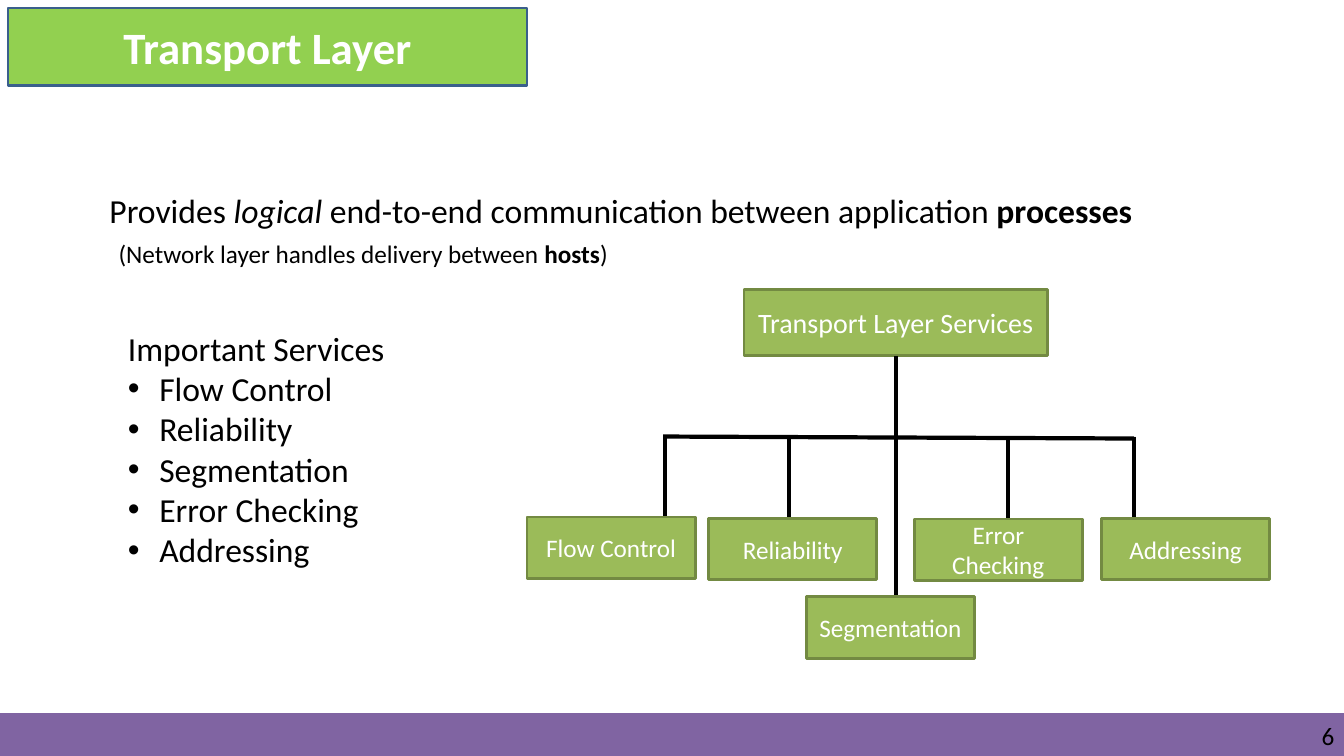
from lxml import etree
from pptx import Presentation
from pptx.dml.color import RGBColor
from pptx.enum.shapes import MSO_CONNECTOR, MSO_SHAPE
from pptx.enum.text import MSO_ANCHOR, MSO_AUTO_SIZE, PP_ALIGN
from pptx.oxml.ns import qn
from pptx.util import Cm, Pt

RECT = MSO_SHAPE.RECTANGLE
LINE = MSO_CONNECTOR.STRAIGHT
MID = MSO_ANCHOR.MIDDLE
TOP = MSO_ANCHOR.TOP
LEFT, CENTER, RIGHT = PP_ALIGN.LEFT, PP_ALIGN.CENTER, PP_ALIGN.RIGHT
FIXED = MSO_AUTO_SIZE.NONE

WIDE, HIGH = 33.87, 19.05
FONT = "Calibri"
BLACK, WHITE = "000000", "FFFFFF"
LIME, NAVY = "92D050", "3A5F8C"
GREEN, OLIVE = "9BBB59", "738A42"
PURPLE = "8064A2"

TITLE = "Transport Layer"
CLAIM = [("Provides ", ""), ("logical", "i"),
         (" end-to-end communication between application ", ""), ("processes", "b")]
NOTE = [("(Network layer handles delivery between ", ""), ("hosts", "b"), (")", "")]
HEAD = "Important Services"
ITEMS = ["Flow Control", "Reliability", "Segmentation", "Error Checking", "Addressing"]
PAGE = "6"

ROOT = "Transport Layer Services"
ROOT_BOX = (18.75, 7.29, 7.65, 1.68)
LEAF_W, LEAF_H = 4.24, 1.55
BAR = (28.58, 11.05, 16.71, 11)
# left, top, stem x, stem top
LEAVES = [(13.28, 13.03, 16.76, 11), (17.86, 13.06, 19.89, 11.02),
          (20.32, 15.04, 22.58, 10.8), (23.04, 13.08, 25.4, 11.05),
          (27.76, 13.06, 28.58, 11)]


def color(code):
    return RGBColor.from_string(code)


def put(para, runs, size, tint, align=LEFT):
    para.alignment = align
    for text, style in runs:
        run = para.add_run()
        run.text = text
        font = run.font
        font.name, font.size = FONT, Pt(size)
        font.color.rgb = color(tint)
        font.bold, font.italic = style == "b", style == "i"


def place(shape, box):
    shape.left, shape.top, shape.width, shape.height = map(Cm, box)


def paint(shape, fill, edge, width):
    shape.fill.solid()
    shape.fill.fore_color.rgb = color(fill)
    shape.line.color.rgb = color(edge)
    shape.line.width = Pt(width)


def block(slide, box, fill, edge, width):
    shape = slide.shapes.add_shape(RECT, *map(Cm, box))
    shape.shadow.inherit = False
    paint(shape, fill, edge, width)
    return shape


def node(slide, box, text, size):
    shape = block(slide, box, GREEN, OLIVE, 2)
    frame = shape.text_frame
    frame.word_wrap, frame.vertical_anchor = True, MID
    put(frame.paragraphs[0], [(text, "")], size, WHITE, CENTER)
    return shape


def link(slide, ends):
    wire = slide.shapes.add_connector(LINE, *map(Cm, ends))
    wire.line.color.rgb = color(BLACK)
    wire.line.width = Pt(3)
    etree.SubElement(wire._element.spPr, qn("a:effectLst"))
    return wire


def label(slide, box, runs, size, align=LEFT):
    frame = slide.shapes.add_textbox(*map(Cm, box)).text_frame
    frame.word_wrap = align == RIGHT
    put(frame.paragraphs[0], runs, size, BLACK, align)
    return frame


def mark(para, dot):
    props = para._p.get_or_add_pPr()
    props.set("marL", str(Cm(0.79) if dot else 0))
    props.set("indent", str(-Cm(0.79) if dot else 0))
    if dot:
        etree.SubElement(props, qn("a:buFont")).set("typeface", "Arial")
        etree.SubElement(props, qn("a:buChar")).set("char", "•")
    else:
        etree.SubElement(props, qn("a:buNone"))
    para.space_before = Pt(0)


def draw_title(slide):
    title = slide.shapes.title
    place(title, (0.2, 0.2, 13.08, 1.96))
    paint(title, LIME, NAVY, 2)
    frame = title.text_frame
    frame.auto_size, frame.vertical_anchor = FIXED, MID
    put(frame.paragraphs[0], [(TITLE, "b")], 32, WHITE, CENTER)


def draw_list(slide):
    body = slide.placeholders[1]
    place(body, (2.97, 8.13, 7.65, 6.4))
    frame = body.text_frame
    frame.auto_size, frame.vertical_anchor = FIXED, TOP
    for i, text in enumerate([HEAD] + ITEMS):
        para = frame.add_paragraph() if i else frame.paragraphs[0]
        mark(para, i > 0)
        put(para, [(text, "")], 24, BLACK)


def draw_tree(slide):
    root = node(slide, ROOT_BOX, ROOT, 20)
    x = ROOT_BOX[0] + ROOT_BOX[2] / 2
    trunk = link(slide, (x, ROOT_BOX[1] + ROOT_BOX[3], x, BAR[3]))
    trunk.begin_connect(root, 2)
    link(slide, BAR)
    for text, (left, top, stem, start) in zip(ITEMS, LEAVES):
        link(slide, (stem, start, stem, top))
        node(slide, (left, top, LEAF_W, LEAF_H), text, 18)


def main():
    deck = Presentation()
    deck.slide_width, deck.slide_height = Cm(WIDE), Cm(HIGH)
    slide = deck.slides.add_slide(deck.slide_layouts[1])
    block(slide, (0, 17.98, WIDE, HIGH - 17.98), PURPLE, PURPLE, 1)
    page = label(slide, (25.83, 18.16, 7.8, 0.76), [(PAGE, "")], 18, RIGHT)
    page.margin_left = page.margin_right = page.margin_top = page.margin_bottom = 0
    draw_title(slide)
    label(slide, (2.51, 4.65, 29.16, 1.27), CLAIM, 24)
    label(slide, (2.74, 5.89, 14.15, 1.02), NOTE, 18)
    draw_list(slide)
    draw_tree(slide)
    deck.save("out.pptx")


if __name__ == "__main__":
    main()
